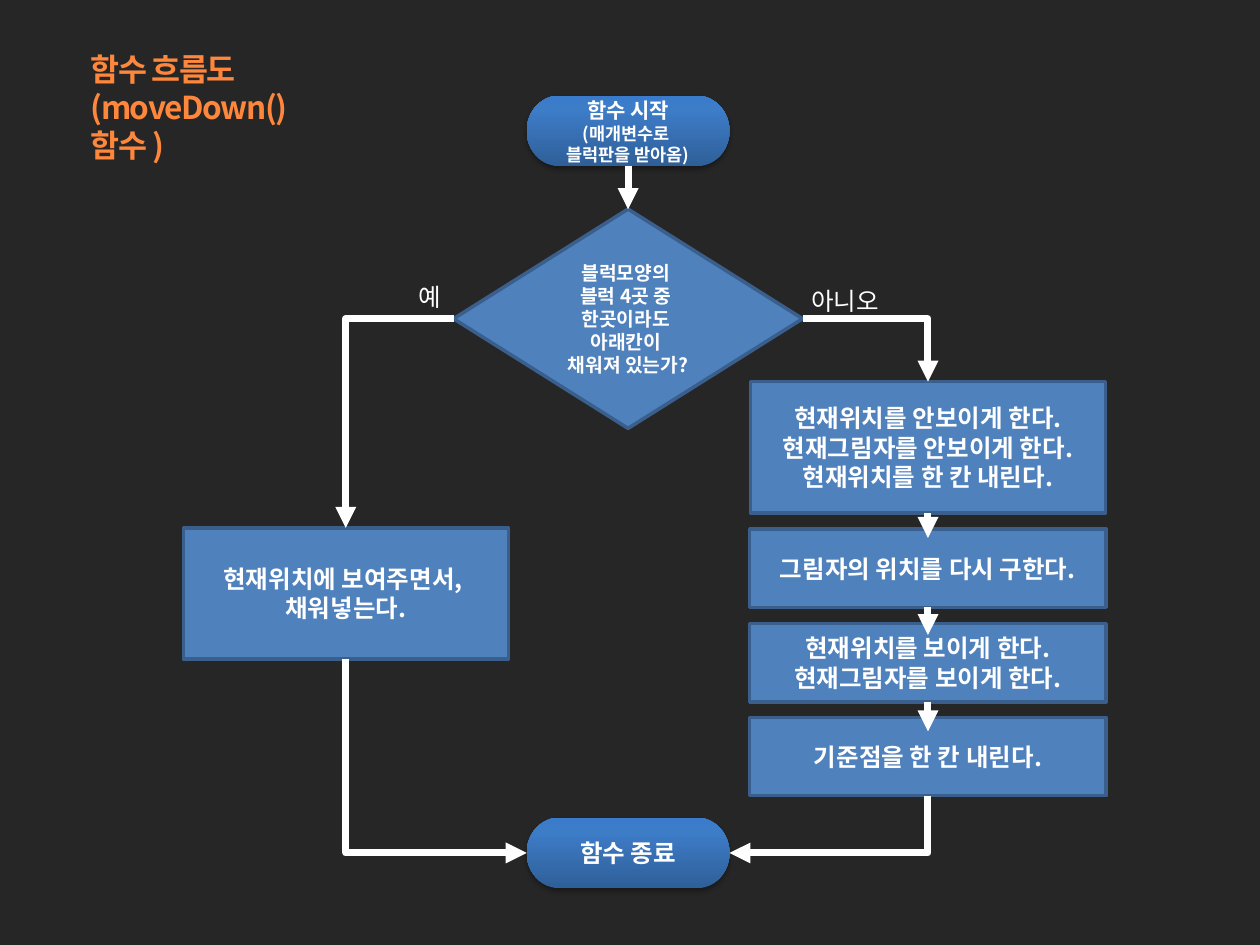
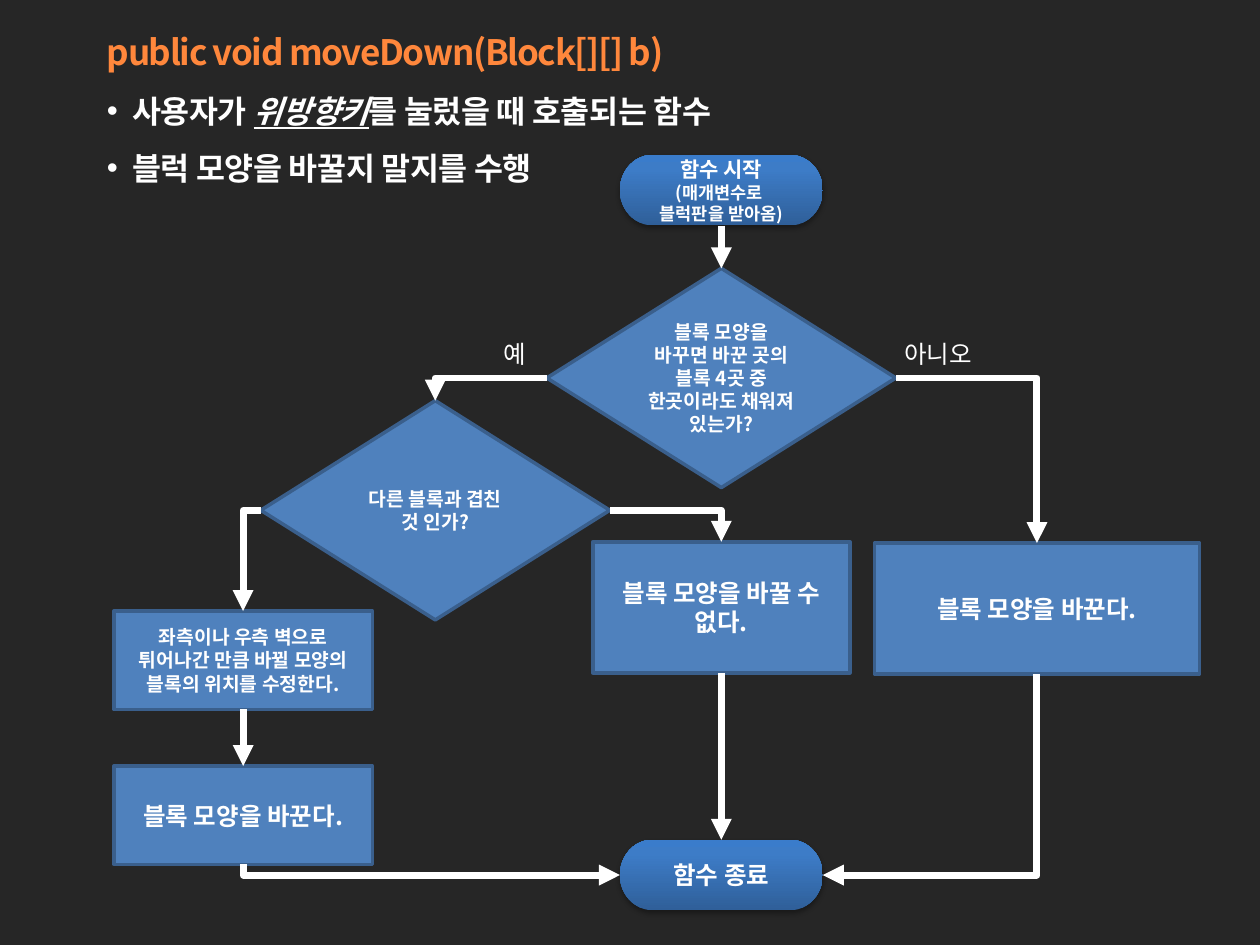
"""Builds two flowchart slides for the moveDown() function."""
from dataclasses import dataclass, field
from enum import Enum
from typing import NamedTuple

from pptx import Presentation
from pptx.dml.color import RGBColor
from pptx.enum.shapes import MSO_CONNECTOR, MSO_SHAPE
from pptx.enum.text import MSO_ANCHOR, MSO_AUTO_SIZE, PP_ALIGN
from pptx.oxml.ns import qn
from pptx.oxml.xmlchemy import OxmlElement
from pptx.util import Inches, Pt

SLIDE_WIDTH, SLIDE_HEIGHT = Inches(10), Inches(7.5)
COLUMNS = 100
CELL = SLIDE_WIDTH / COLUMNS
FONT = "Noto Sans CJK KR"
BACKGROUND, WHITE, ORANGE = "262626", "FFFFFF", "FF873C"
STEP_FILL, STEP_LINE, SHADOW = "4F81BD", "3A5F8C", "000000"
TERMINATOR_STOPS = ((0, "2F5F99"), (80, "3D7CC7"), (100, "3A7CCB"))


class Kind(Enum):
    TERMINATOR = MSO_SHAPE.FLOWCHART_TERMINATOR
    DECISION = MSO_SHAPE.FLOWCHART_DECISION
    PROCESS = MSO_SHAPE.FLOWCHART_PROCESS


class Side(Enum):
    LEFT = (-0.5, 0.5)
    RIGHT = (0.5, 0.5)
    TOP = (0, 0)
    BOTTOM = (0, 1)


class Words(NamedTuple):
    text: str
    size: float = 14
    color: str = WHITE
    bold: bool = True
    marked: bool = False
    spacing: float = 0


class Line(NamedTuple):
    words: tuple[Words, ...]
    hanging: float = 0
    bullet: str = ""
    leading: float = 1


@dataclass(frozen=True)
class Node:
    kind: Kind
    center: float
    top: float
    width: float
    height: float
    lines: tuple[Words, ...]

    def point(self, side: Side) -> tuple[float, float]:
        across, down = side.value
        return self.center + across * self.width, self.top + down * self.height


class Edge(NamedTuple):
    source: str
    leaving: Side
    target: str
    entering: Side
    overlap: float = 0


class TextBlock(NamedTuple):
    left: float
    top: float
    width: float
    height: float
    lines: tuple[Line, ...]


@dataclass(frozen=True)
class Flowchart:
    heading: TextBlock
    nodes: dict[str, Node]
    edges: tuple[Edge, ...]
    answers: tuple[TextBlock, ...] = field(default=())


def rgb(value: str) -> RGBColor:
    return RGBColor.from_string(value)


def grid(*cells: float) -> list[int]:
    return [round(cell * CELL) for cell in cells]


def set_all(target, values: dict) -> None:
    for name, value in values.items():
        setattr(target, name, value)


def add_element(parent, tag: str, **attributes):
    element = OxmlElement(tag)
    for name, value in attributes.items():
        element.set(name, str(value))
    parent.append(element)
    return element


def write_words(paragraph, words: Words) -> None:
    run = paragraph.add_run()
    run.text = words.text
    set_all(run.font, {"name": FONT, "size": Pt(words.size), "bold": words.bold,
                       "italic": words.marked, "underline": words.marked})
    run.font.color.rgb = rgb(words.color)
    properties = run.font._element
    add_element(properties, "a:ea", typeface=FONT)
    if words.spacing:
        properties.set("spc", str(round(words.spacing * 100)))


def write_lines(frame, lines: tuple[Line, ...], align: PP_ALIGN) -> None:
    for index, line in enumerate(lines):
        paragraph = frame.add_paragraph() if index else frame.paragraphs[0]
        set_all(paragraph, {"alignment": align, "line_spacing": line.leading})
        properties = paragraph._p.get_or_add_pPr()
        if line.hanging:
            margin = Inches(line.hanging)
            properties.set("marL", str(margin))
            properties.set("indent", str(-margin))
        if line.bullet:
            add_element(properties, "a:buFont", typeface="Arial")
            add_element(properties, "a:buChar", char=line.bullet)
        for words in line.words:
            write_words(paragraph, words)


def paint_terminator(shape) -> None:
    shape.line.fill.background()
    shape.fill.gradient()
    shape.fill.gradient_angle = 90
    properties = shape._element.spPr
    stops = properties.find(".//" + qn("a:gsLst"))
    for stop in list(stops):
        stops.remove(stop)
    for position, color in TERMINATOR_STOPS:
        stop = add_element(stops, "a:gs", pos=position * 1000)
        add_element(stop, "a:srgbClr", val=color)
    shadow = add_element(properties.find(qn("a:effectLst")), "a:outerShdw",
                         blurRad=Pt(3.1), dist=Pt(1.8), dir=5400000, rotWithShape=0)
    add_element(add_element(shadow, "a:srgbClr", val=SHADOW), "a:alpha", val=35000)


def paint_step(shape) -> None:
    shape.fill.solid()
    shape.fill.fore_color.rgb = rgb(STEP_FILL)
    shape.line.color.rgb = rgb(STEP_LINE)
    shape.line.width = Pt(2)


def draw_node(slide, node: Node) -> None:
    left = node.center - node.width / 2
    shape = slide.shapes.add_shape(node.kind.value, *grid(left, node.top, node.width, node.height))
    shape.shadow.inherit = False
    paint = paint_terminator if node.kind is Kind.TERMINATOR else paint_step
    paint(shape)
    set_all(shape.text_frame, {"word_wrap": True, "vertical_anchor": MSO_ANCHOR.MIDDLE})
    write_lines(shape.text_frame, tuple(Line((words,)) for words in node.lines), PP_ALIGN.CENTER)


def draw_edge(slide, edge: Edge, nodes: dict[str, Node]) -> None:
    x1, y1 = nodes[edge.source].point(edge.leaving)
    x2, y2 = nodes[edge.target].point(edge.entering)
    y2 += edge.overlap
    straight = edge.leaving is Side.BOTTOM and edge.entering is Side.TOP
    falls_first = edge.leaving is Side.BOTTOM and not straight
    ends, turn = (x1, y1, x2, y2), 0
    if falls_first:
        toward = 1 if x2 < x1 else -1
        middle_x, middle_y = (x1 + x2) / 2, (y1 + y2) / 2
        half_run, half_rise = toward * (y2 - y1) / 2, abs(x2 - x1) / 2
        ends = (middle_x - half_run, middle_y - half_rise,
                middle_x + half_run, middle_y + half_rise)
        turn = 90 if toward > 0 else 270
    route = MSO_CONNECTOR.STRAIGHT if straight else MSO_CONNECTOR.ELBOW
    arrow = slide.shapes.add_connector(route, *grid(*ends))
    arrow.line.color.rgb = rgb(WHITE)
    arrow.line.width = Pt(4)
    properties = arrow._element.spPr
    if not straight:
        properties.find(qn("a:prstGeom")).set("prst", "bentConnector2")
    if turn:
        properties.find(qn("a:xfrm")).set("rot", str(turn * 60000))
    add_element(properties.find(qn("a:ln")), "a:tailEnd", type="triangle")
    add_element(properties, "a:effectLst")


def draw_text(slide, block: TextBlock) -> None:
    area = grid(block.left, block.top, block.width, block.height)
    frame = slide.shapes.add_textbox(*area).text_frame
    set_all(frame, {"word_wrap": True, "auto_size": MSO_AUTO_SIZE.SHAPE_TO_FIT_TEXT})
    write_lines(frame, block.lines, PP_ALIGN.LEFT)


def draw_flowchart(presentation, chart: Flowchart) -> None:
    slide = presentation.slides.add_slide(presentation.slide_layouts[6])
    slide.background.fill.solid()
    slide.background.fill.fore_color.rgb = rgb(BACKGROUND)
    for node in chart.nodes.values():
        draw_node(slide, node)
    for edge in chart.edges:
        draw_edge(slide, edge, chart.nodes)
    for block in (chart.heading, *chart.answers):
        draw_text(slide, block)


def start(center: float, top: float) -> Node:
    lines = (Words("함수 시작", 12), Words("(매개변수로 ", 10), Words("블럭판을 받아옴)", 10))
    return Node(Kind.TERMINATOR, center, top, 16.1, 5.6, lines)


def end(center: float, top: float) -> Node:
    return Node(Kind.TERMINATOR, center, top, 16.1, 5.6, (Words("함수 종료"),))


def decision(center: float, top: float, *texts: str) -> Node:
    return Node(Kind.DECISION, center, top, 27.7, 17.4, tuple(Words(text, 11) for text in texts))


def process(center: float, top: float, width: float, height: float, *texts: str,
            size: float = 14) -> Node:
    return Node(Kind.PROCESS, center, top, width, height,
                tuple(Words(text, size) for text in texts))


def answer(left: float, top: float, text: str) -> TextBlock:
    return TextBlock(left, top, 22.7, 3.4, (Line((Words(text, bold=False),)),))


def title(text: str, size: float = 18) -> Words:
    return Words(text, size, ORANGE, spacing=-0.8)


def bullet(*words: Words) -> Line:
    return Line(words, 0.2, "•", 1.5)


def remark(text: str, marked: bool = False) -> Words:
    return Words(text, 18, marked=marked, spacing=-0.2)


MOVE_AXIS, MOVE_LEFT, MOVE_RIGHT = 49.85, 27.45, 73.65
MOVE_DOWN = Flowchart(
    TextBlock(6.2, 3.5, 23.4, 7.1,
              (Line((title("함수 흐름도"),)), Line((title("(moveDown() 함수 )"),)))),
    {
        "start": start(MOVE_AXIS, 7.6),
        "end": end(MOVE_AXIS, 64.9),
        "blocked": decision(MOVE_AXIS, 16.6, "블럭모양의 ", "블럭 4곳 중 ", "한곳이라도 ",
                            "아래칸이 ", "채워져 있는가?"),
        "settle": process(MOVE_LEFT, 41.9, 25.8, 10.4, "현재위치에 보여주면서, ", "채워넣는다."),
        "hide": process(MOVE_RIGHT, 30.3, 28.2, 10.4, "현재위치를 안보이게 한다.",
                        "현재그림자를 안보이게 한다.", "현재위치를 한 칸 내린다."),
        "shadow": process(MOVE_RIGHT, 42, 28.3, 6.2, "그림자의 위치를 다시 구한다."),
        "show": process(MOVE_RIGHT, 49.5, 28.3, 6.2, "현재위치를 보이게 한다.",
                        "현재그림자를 보이게 한다."),
        "origin": process(MOVE_RIGHT, 56.95, 28.3, 6.2, "기준점을 한 칸 내린다."),
    },
    (
        Edge("start", Side.BOTTOM, "blocked", Side.TOP),
        Edge("blocked", Side.LEFT, "settle", Side.TOP),
        Edge("blocked", Side.RIGHT, "hide", Side.TOP),
        Edge("hide", Side.BOTTOM, "shadow", Side.TOP, 0.7),
        Edge("shadow", Side.BOTTOM, "show", Side.TOP, 0.9),
        Edge("show", Side.BOTTOM, "origin", Side.TOP, 1.1),
        Edge("origin", Side.BOTTOM, "end", Side.RIGHT),
        Edge("settle", Side.BOTTOM, "end", Side.LEFT),
    ),
    (answer(63.4, 22.2, "아니오"), answer(32.2, 21.9, "예")),
)

TURN_AXIS, TURN_LEFT, TURN_RIGHT = 57.25, 19.3, 82.3
TURN_BLOCK = Flowchart(
    TextBlock(7.5, 0.3, 81.6, 15.1, (
        Line((title("public void moveDown(Block[][] b)", 20),), 0.25, leading=1.5),
        bullet(remark("사용자가 "), remark("위방향키", True), remark("를 눌렀을 때 호출되는 함수")),
        bullet(remark("블럭 모양을 바꿀지 말지를 수행")),
    )),
    {
        "start": start(TURN_AXIS, 12.3),
        "end": end(TURN_AXIS, 66.65),
        "filled": decision(TURN_AXIS, 21.3,
                           "블록 모양을 바꾸면 바꾼 곳의 블록 4곳 중 한곳이라도 채워져 있는가?"),
        "overlaps": decision(34.55, 31.8, "다른 블록과 겹친 것 인가?"),
        "turn": process(TURN_RIGHT, 43.1, 25.8, 10.4, "블록 모양을 바꾼다."),
        "refuse": process(TURN_AXIS, 43, 20.4, 10.4, "블록 모양을 바꿀 수 없다."),
        "shift": process(TURN_LEFT, 48.5, 20.5, 7.8,
                         "좌측이나 우측 벽으로 튀어나간 만큼 바뀔 모양의 블록의 위치를 수정한다.", size=11),
        "turn shifted": process(TURN_LEFT, 60.8, 20.5, 7.8, "블록 모양을 바꾼다."),
    },
    (
        Edge("start", Side.BOTTOM, "filled", Side.TOP),
        Edge("filled", Side.LEFT, "overlaps", Side.TOP),
        Edge("filled", Side.RIGHT, "turn", Side.TOP),
        Edge("overlaps", Side.LEFT, "shift", Side.TOP),
        Edge("overlaps", Side.RIGHT, "refuse", Side.TOP),
        Edge("shift", Side.BOTTOM, "turn shifted", Side.TOP),
        Edge("turn shifted", Side.BOTTOM, "end", Side.LEFT),
        Edge("refuse", Side.BOTTOM, "end", Side.TOP),
        Edge("turn", Side.BOTTOM, "end", Side.RIGHT),
    ),
    (answer(39, 26.4, "예"), answer(70.8, 26.4, "아니오")),
)


def main() -> None:
    presentation = Presentation()
    set_all(presentation, {"slide_width": SLIDE_WIDTH, "slide_height": SLIDE_HEIGHT})
    for chart in (MOVE_DOWN, TURN_BLOCK):
        draw_flowchart(presentation, chart)
    presentation.save("out.pptx")


if __name__ == "__main__":
    main()
